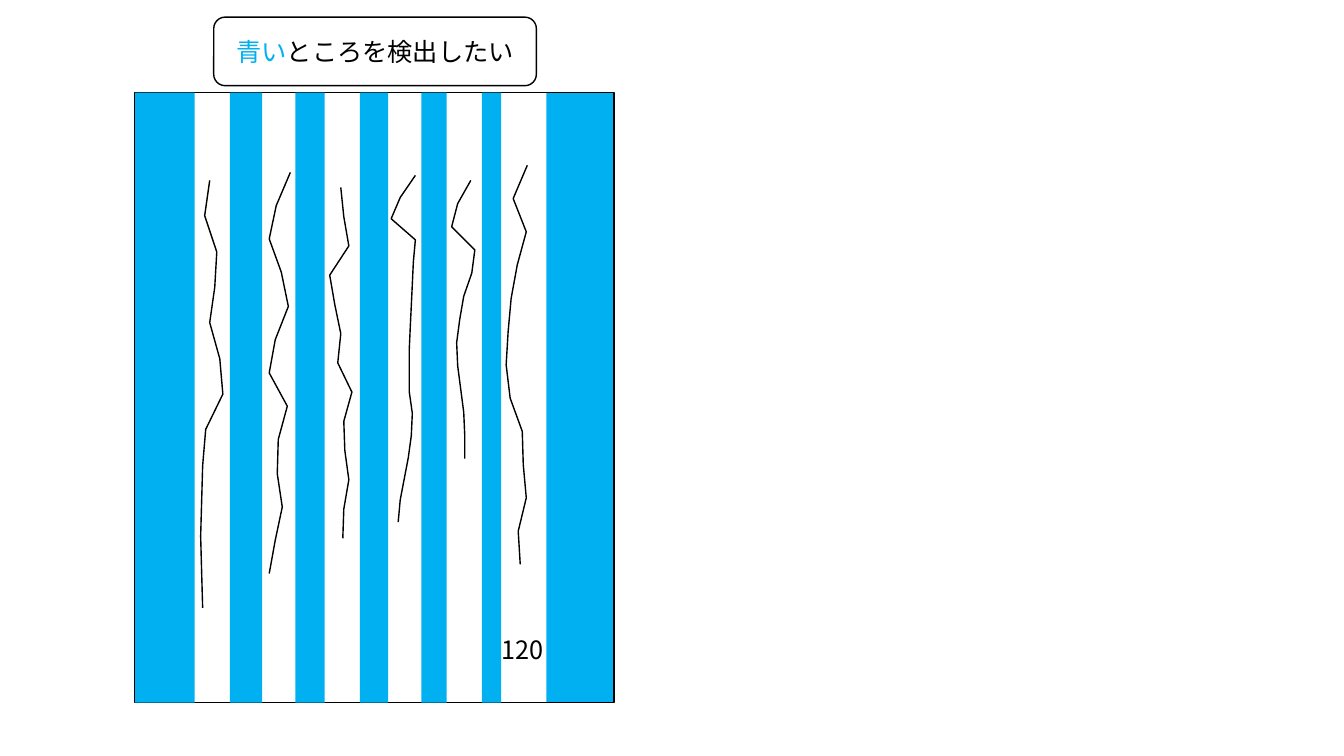
"""Build the slide about finding the blue gaps between hanging strands."""
import dataclasses

import lxml.etree
import pptx
import pptx.dml.color
import pptx.enum.shapes
import pptx.enum.text
import pptx.oxml.ns
import pptx.shapes.autoshape
import pptx.shapes.shapetree
import pptx.slide
import pptx.text.text
import pptx.util

Inches = pptx.util.Inches
Pt = pptx.util.Pt
Kind = pptx.enum.shapes.MSO_SHAPE
Align = pptx.enum.text.PP_ALIGN
RGBColor = pptx.dml.color.RGBColor
Shape = pptx.shapes.autoshape.Shape
Group = pptx.shapes.shapetree.GroupShapes

BLUE = RGBColor(0x00, 0xB0, 0xF0)
BLACK = RGBColor(0x00, 0x00, 0x00)
FONT = "Noto Sans CJK JP"
TOP, HEIGHT = 0.92, 6.05
UNIT = Inches(0.01)


@dataclasses.dataclass(frozen=True)
class Band:
    left: float
    width: float


@dataclasses.dataclass(frozen=True)
class Strand:
    top: int
    foot: int
    left: int
    sway: tuple[int, ...]


FRAME = Band(1.34, 4.75)
EDGE = Band(5.42, 0.66)
BANDS = (
    Band(4.78, 0.19), Band(4.18, 0.25), Band(3.57, 0.28),
    Band(2.93, 0.29), Band(2.28, 0.32), Band(1.34, 0.59),
)
STRANDS = (
    Strand(164, 560, 502, (21, 7, 20, 11, 5, 2, 0, 4, 16, 17, 20, 12, 14)),
    Strand(179, 455, 448, (19, 6, 0, 23, 20, 12, 8, 5, 6, 9, 12, 13, 13)),
    Strand(174, 518, 388, (24, 9, 0, 24, 22, 21, 20, 19, 18, 18, 18, 21, 20,
                           17, 13, 9, 7)),
    Strand(186, 534, 327, (11, 14, 19, 0, 5, 11, 8, 22, 14, 15, 19, 14, 13)),
    Strand(171, 569, 267, (21, 7, 0, 12, 19, 6, 0, 18, 9, 8, 13, 6, 0)),
    Strand(179, 603, 199, (9, 4, 16, 14, 9, 19, 22, 5, 2, 1, 0, 1, 2)),
)


def ink(shape: Shape) -> None:
    """Outline a shape in black without fill."""
    shape.shadow.inherit = False
    shape.fill.background()
    shape.line.color.rgb = BLACK
    shape.line.width = Pt(1)


def style(para: pptx.text.text._Paragraph) -> None:
    """Give a paragraph the slide's font."""
    para.font.size = Pt(18)
    para.font.name = FONT
    tag = pptx.oxml.ns.qn("a:ea")
    lxml.etree.SubElement(para.font._element, tag, typeface=FONT)


def draw(group: Group, strand: Strand) -> None:
    """Draw one strand through evenly spaced heights."""
    step = (strand.foot - strand.top) / (len(strand.sway) - 1)
    start, *rest = [
        (strand.left + shift, round(strand.top + row * step))
        for row, shift in enumerate(strand.sway)
    ]
    pen = group.build_freeform(*start, scale=UNIT)
    pen.add_line_segments(rest, close=False)
    ink(pen.convert_to_shape())


def block(group: Group, band: Band) -> Shape:
    """Add one full-height rectangle."""
    return group.add_shape(
        Kind.RECTANGLE, Inches(band.left), Inches(TOP),
        Inches(band.width), Inches(HEIGHT))


def paint(group: Group, band: Band) -> None:
    """Add one blue band."""
    shape = block(group, band)
    shape.shadow.inherit = False
    shape.fill.solid()
    shape.fill.fore_color.rgb = BLUE
    shape.line.fill.background()


def count(group: Group) -> None:
    """Write the number at the foot of the last gap."""
    box = group.add_textbox(Inches(4.88), Inches(6.24), Inches(0.62), Inches(0.4))
    box.text_frame.word_wrap = False
    para = box.text_frame.paragraphs[0]
    para.text = "120"
    para.font.color.rgb = BLACK
    style(para)


def head(slide: pptx.slide.Slide) -> None:
    """Place the title inside a rounded box."""
    area = Inches(2.12), Inches(0.17), Inches(3.2), Inches(0.68)
    ink(slide.shapes.add_shape(Kind.ROUNDED_RECTANGLE, *area))
    title = slide.shapes.title
    title.left, title.top, title.width, title.height = area
    frame = title.text_frame
    frame.word_wrap = True
    frame.vertical_anchor = pptx.enum.text.MSO_ANCHOR.MIDDLE
    para = frame.paragraphs[0]
    para.alignment = Align.CENTER
    style(para)
    for text, color in (("青い", BLUE), ("ところを検出したい", BLACK)):
        run = para.add_run()
        run.text = text
        run.font.color.rgb = color


def main() -> None:
    """Build and save the slide."""
    deck = pptx.Presentation()
    deck.slide_width, deck.slide_height = Inches(13.33), Inches(7.5)
    slide = deck.slides.add_slide(deck.slide_layouts[5])
    group = slide.shapes.add_group_shape().shapes
    for strand in STRANDS:
        draw(group, strand)
    count(group)
    paint(group, EDGE)
    ink(block(group, FRAME))
    for band in BANDS:
        paint(group, band)
    head(slide)
    deck.save("out.pptx")


if __name__ == "__main__":
    main()
